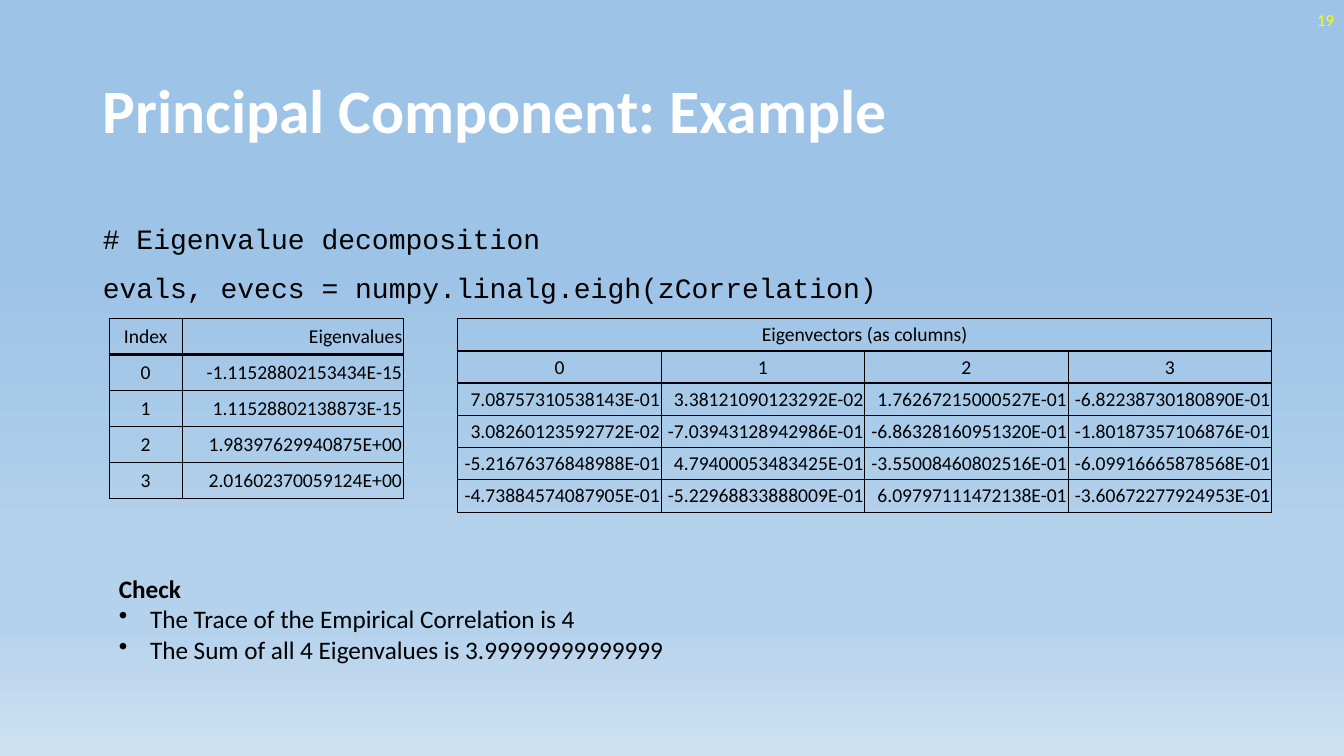
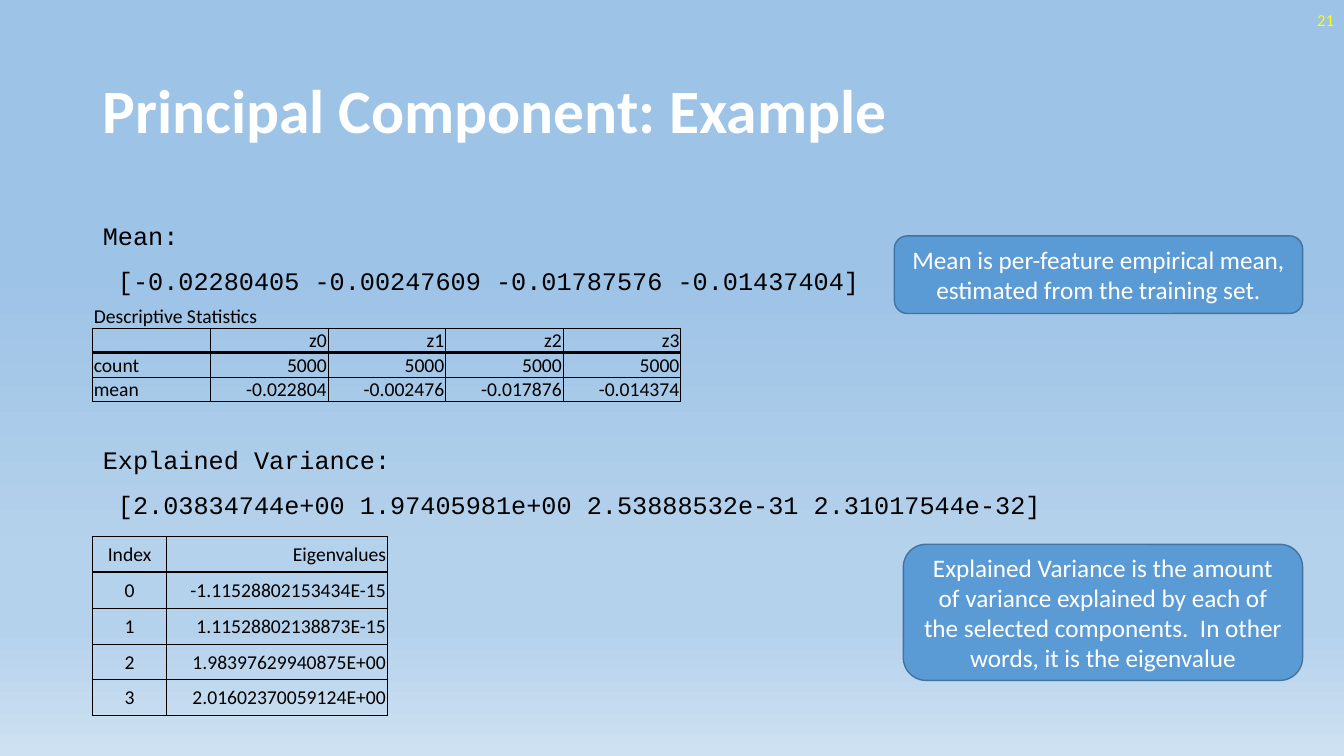
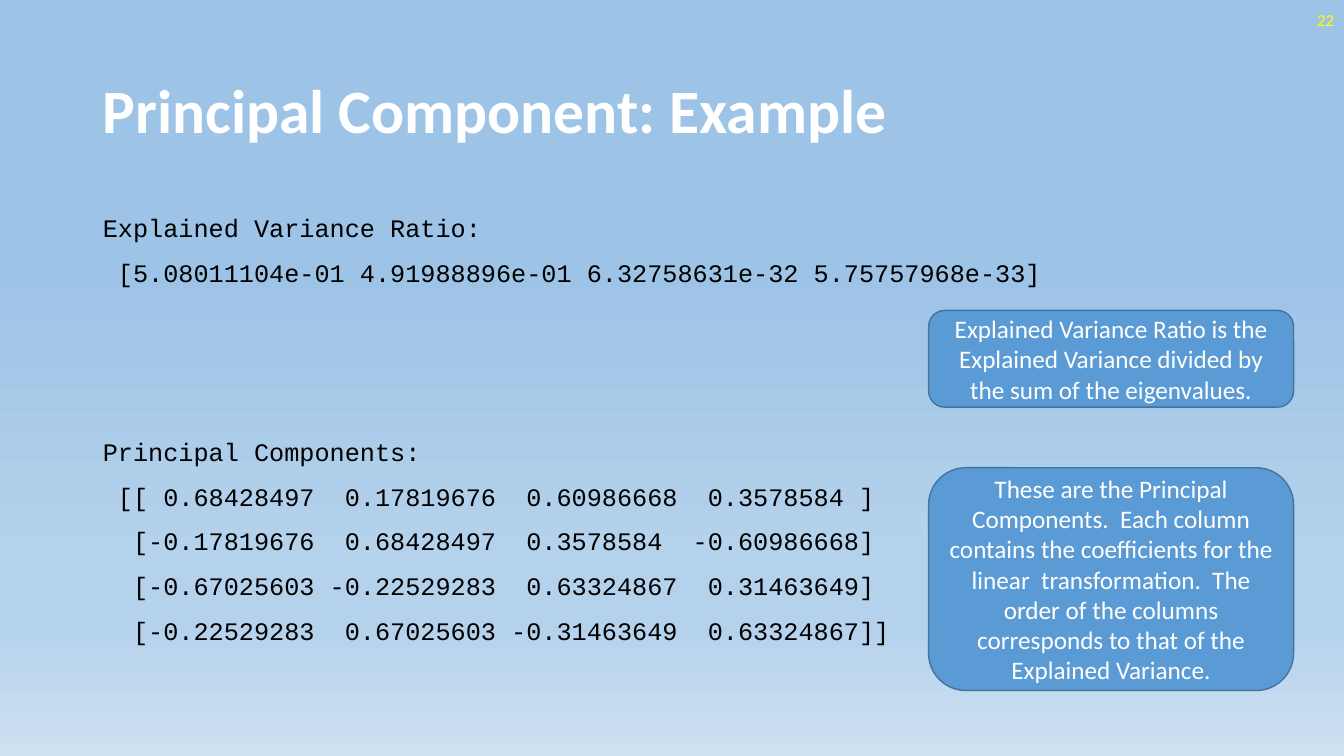
from lxml import etree
from pptx import Presentation
from pptx.dml.color import RGBColor
from pptx.enum import shapes, text
from pptx.oxml import ns, parse_xml
from pptx.util import Inches, Pt

SANS, MONO = "Calibri", "Courier New"
BLACK, WHITE, YELLOW = "000000", "FFFFFF", "FFFF00"
BLUE, EDGE = "5B9BD5", "43739E"
SKY = [(35, "9DC3E6"), (74, "B5D2EC"), (83, "B5D2EC"), (100, "CEE1F2")]
ALIGN = {"l": text.PP_ALIGN.LEFT, "c": text.PP_ALIGN.CENTER,
         "r": text.PP_ALIGN.RIGHT}
TITLE = "Principal Component: Example"
GAP = 102  # points before a second block of code

# Tables: the last entry of "align" holds for all further rows,
# "heavy" lists the rows with a thick line below
EIGEN = dict(
    cols=[0.73, 2.19], high=0.356, align=["cr"], heavy=[0],
    rows=[("Index", "Eigenvalues"),
          ("0", "-1.11528802153434E-15"),
          ("1", "1.11528802138873E-15"),
          ("2", "1.98397629940875E+00"),
          ("3", "2.01602370059124E+00")])
VECTORS = dict(
    cols=[2.018] * 4, high=0.32, align=["cccc", "cccc", "rrrr"], heavy=[0, 1],
    rows=[("Eigenvectors (as columns)",),
          ("0", "1", "2", "3"),
          ("7.08757310538143E-01", "3.38121090123292E-02",
           "1.76267215000527E-01", "-6.82238730180890E-01"),
          ("3.08260123592772E-02", "-7.03943128942986E-01",
           "-6.86328160951320E-01", "-1.80187357106876E-01"),
          ("-5.21676376848988E-01", "4.79400053483425E-01",
           "-3.55008460802516E-01", "-6.09916665878568E-01"),
          ("-4.73884574087905E-01", "-5.22968833888009E-01",
           "6.09797111472138E-01", "-3.60672277924953E-01")])
STATS = dict(
    cols=[1.166] * 5, high=0.24, align=["lrrrr"], heavy=[1], caption=True,
    rows=[("Descriptive Statistics",),
          ("", "z0", "z1", "z2", "z3"),
          ("count", "5000", "5000", "5000", "5000"),
          ("mean", "-0.022804", "-0.002476", "-0.017876", "-0.014374")])

SLIDES = [
    dict(num="19", size=20, top=2,
         code=[["# Eigenvalue decomposition",
                "evals, evecs = numpy.linalg.eigh(zCorrelation)"]],
         tables=[(1.08, 3.16, EIGEN), (4.54, 3.16, VECTORS)],
         check=("Check", ["The Trace of the Empirical Correlation is 4",
                          "The Sum of all 4 Eigenvalues is 3.99999999999999"])),
    dict(num="21", size=18, top=2,
         code=[["Mean:",
                " [-0.02280405 -0.00247609 -0.01787576 -0.01437404]"],
               ["Explained Variance:",
                " [2.03834744e+00 1.97405981e+00 2.53888532e-31 2.31017544e-32]"]],
         tables=[(0.92, 3.01, STATS), (0.92, 5.32, EIGEN)],
         notes=[((8.87, 2.34, 4.05, 0.77),
                 "Mean is per-feature empirical mean, estimated from the "
                 "training set."),
                ((8.96, 5.4, 3.96, 1.35),
                 "Explained Variance is the amount of variance explained by "
                 "each of the selected components.  In other words, it is "
                 "the eigenvalue")]),
    dict(num="22", size=18, top=1.92,
         code=[["Explained Variance Ratio:",
                " [5.08011104e-01 4.91988896e-01 6.32758631e-32 5.75757968e-33]"],
               ["Principal Components:",
                " [[ 0.68428497  0.17819676  0.60986668  0.3578584 ]",
                "  [-0.17819676  0.68428497  0.3578584  -0.60986668]",
                "  [-0.67025603 -0.22529283  0.63324867  0.31463649]",
                "  [-0.22529283  0.67025603 -0.31463649  0.63324867]]"]],
         notes=[((9.21, 3.08, 3.62, 0.96),
                 "Explained Variance Ratio is the Explained Variance divided "
                 "by the sum of the eigenvalues."),
                ((9.21, 4.64, 3.62, 2.21),
                 "These are the Principal Components.  Each column contains "
                 "the coefficients for the linear  transformation.  The order "
                 "of the columns corresponds to that of the Explained "
                 "Variance.")]),
]


def rgb(code):
    return RGBColor.from_string(code)


def box(*nums):
    return [Inches(n) for n in nums]


def place(shape, *nums):
    shape.left, shape.top, shape.width, shape.height = box(*nums)


def style(para, size, color=BLACK, face=SANS, bold=False, align="l"):
    para.alignment = ALIGN[align]
    font = para.font
    font.size, font.name, font.bold = Pt(size), face, bold
    font.color.rgb = rgb(color)


def bullet(para, char=None, indent=0):
    props = para._p.get_or_add_pPr()
    props.set("marL", str(Inches(indent)))
    props.set("indent", str(-Inches(indent)))
    mark = etree.SubElement(props, ns.qn("a:buChar" if char else "a:buNone"))
    if char:
        mark.set("char", char)


def lines(frame, count):
    """Give the frame this many paragraphs."""
    return [frame.paragraphs[0]] + [frame.add_paragraph()
                                    for _ in range(count - 1)]


# Shared look: background and placeholder places
def setup(deck):
    master, layout = deck.slide_master, deck.slide_layouts[1]
    fill = master.background.fill
    fill.gradient()
    stops = "".join(f'<a:gs pos="{pos * 1000}"><a:srgbClr val="{color}"/></a:gs>'
                    for pos, color in SKY)
    old = master._element.find(".//" + ns.qn("a:gradFill"))
    old.getparent().replace(old, parse_xml(
        f'<a:gradFill {ns.nsdecls("a")} rotWithShape="1"><a:gsLst>{stops}'
        '</a:gsLst><a:lin ang="5400000" scaled="0"/></a:gradFill>'))
    place(layout.placeholders[0], 0.92, 0.4, 11.5, 1.45)
    place(layout.placeholders[1], 0.92, 2, 11.5, 4.76)
    return layout


def head(slide, num):
    frame = slide.shapes.title.text_frame
    frame.text = TITLE
    frame.vertical_anchor = text.MSO_ANCHOR.MIDDLE
    frame.paragraphs[0].line_spacing = 0.9
    style(frame.paragraphs[0], 44, WHITE, bold=True)
    frame = slide.shapes.add_textbox(*box(10.33, 0, 3, 0.4)).text_frame
    frame.word_wrap = True
    frame.vertical_anchor = text.MSO_ANCHOR.MIDDLE
    frame.text = num
    style(frame.paragraphs[0], 12, YELLOW, align="r")


def listing(slide, blocks, size, top):
    body = slide.placeholders[1]
    place(body, 0.92, top, 11.5, 4.76)
    frame = body.text_frame
    frame.auto_size = text.MSO_AUTO_SIZE.NONE
    frame.margin_top = Inches(0.13)
    rows = [(line, 6 if i else GAP) for block in blocks
            for i, line in enumerate(block)]
    for i, (para, (line, gap)) in enumerate(zip(lines(frame, len(rows)), rows)):
        para.text = line
        para.line_spacing = 1.2
        para.space_before = Pt(gap if i else 0)
        bullet(para)
        style(para, size, face=MONO)


def borders(cell, widths):
    """Widths in points for left, right, top, bottom; 0 is no line."""
    props = cell._tc.get_or_add_tcPr()
    for i, (side, width) in enumerate(zip("LRTB", widths)):
        paint = (f'<a:solidFill><a:srgbClr val="{BLACK}"/></a:solidFill>'
                 if width else "<a:noFill/>")
        props.insert(i, parse_xml(
            f'<a:ln{side} {ns.nsdecls("a")} w="{Pt(width)}">{paint}</a:ln{side}>'))


def grid(slide, left, top, cols, high, align, heavy, rows, caption=False):
    table = slide.shapes.add_table(
        len(rows), len(cols),
        *box(left, top, sum(cols), high * len(rows))).table
    table.first_row = table.horz_banding = False
    for col, width in zip(table.columns, cols):
        col.width = Inches(width)
    for r, row in enumerate(rows):
        table.rows[r].height = Inches(high)
        if len(row) == 1:
            table.cell(r, 0).merge(table.cell(r, len(cols) - 1))
        bare = caption and r == 0
        edge = 0 if bare else 0.5
        above = 2 if r - 1 in heavy else edge
        below = 2 if r in heavy else 0.5
        for c, side in enumerate(align[min(r, len(align) - 1)]):
            cell = table.cell(r, c)
            cell.margin_left = cell.margin_right = Inches(0.01)
            cell.margin_top, cell.margin_bottom = Inches(0.01), 0
            cell.vertical_anchor = text.MSO_ANCHOR.MIDDLE
            cell.fill.background()
            borders(cell, (edge, edge, above, below))
            para = cell.text_frame.paragraphs[0]
            style(para, 14, align=side)
            if c < len(row) and row[c]:
                para.text = row[c]
            else:
                etree.SubElement(para._p, ns.qn("a:endParaRPr")).set("sz", "1400")


def note(slide, where, words):
    shape = slide.shapes.add_shape(
        shapes.MSO_SHAPE.ROUNDED_RECTANGLE, *box(*where))
    shape.shadow.inherit = False
    shape.fill.solid()
    shape.fill.fore_color.rgb = rgb(BLUE)
    shape.line.color.rgb = rgb(EDGE)
    shape.line.width = Pt(1)
    frame = shape.text_frame
    frame.word_wrap = True
    frame.vertical_anchor = text.MSO_ANCHOR.MIDDLE
    frame.text = words
    style(frame.paragraphs[0], 18, WHITE, align="c")


def checks(slide, title, points):
    frame = slide.shapes.add_textbox(*box(1.08, 5.64, 10.34, 1.01)).text_frame
    frame.word_wrap = True
    first, *rest = lines(frame, 1 + len(points))
    first.text = title
    style(first, 18, bold=True)
    for para, point in zip(rest, points):
        para.text = point
        bullet(para, "•", 0.31)
        style(para, 18)


def main():
    deck = Presentation()
    deck.slide_width, deck.slide_height = box(13.33, 7.5)
    layout = setup(deck)
    for page in SLIDES:
        slide = deck.slides.add_slide(layout)
        head(slide, page["num"])
        listing(slide, page["code"], page["size"], page["top"])
        for left, top, data in page.get("tables", []):
            grid(slide, left, top, **data)
        for where, words in page.get("notes", []):
            note(slide, where, words)
        if "check" in page:
            checks(slide, *page["check"])
    deck.save("out.pptx")


if __name__ == "__main__":
    main()
